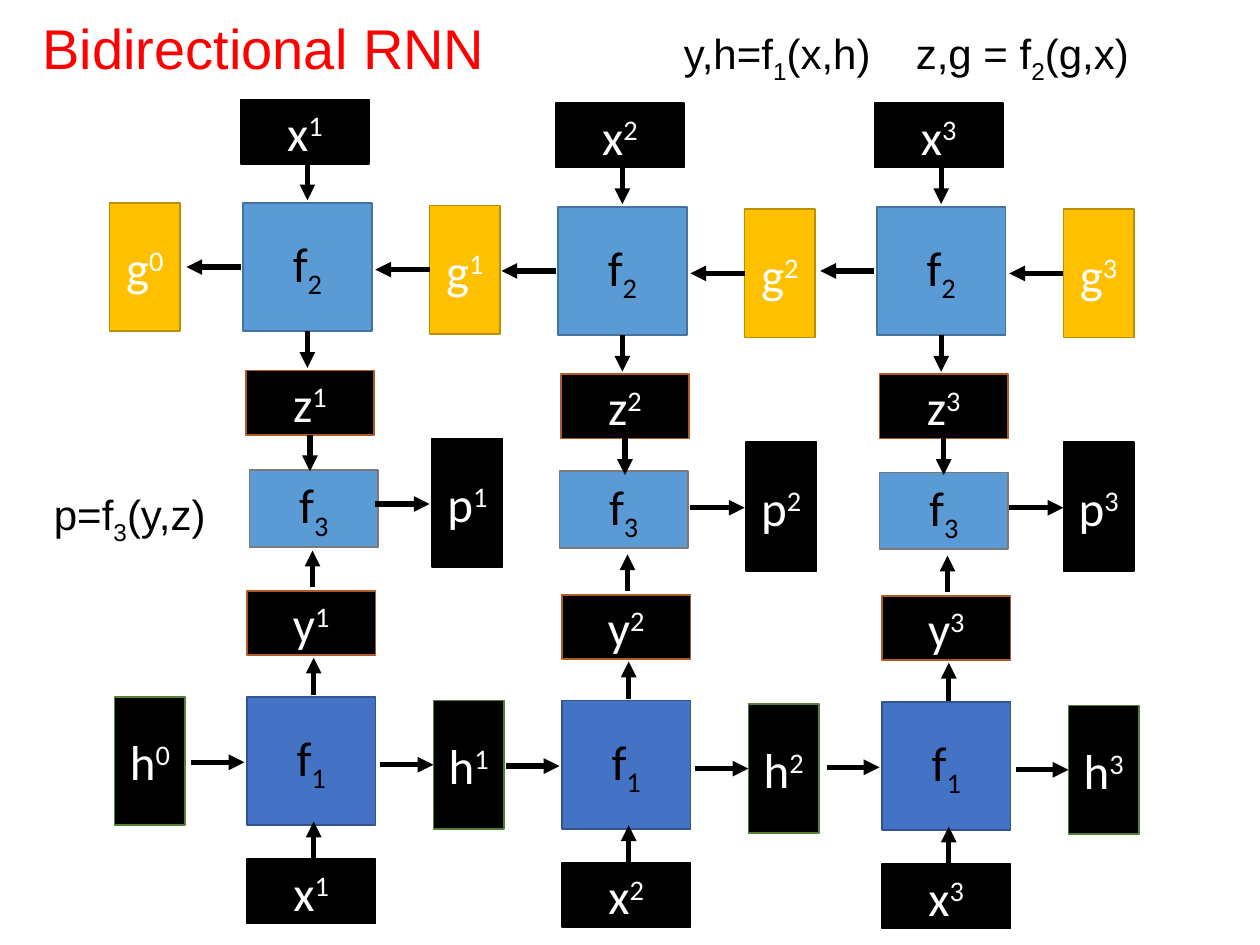
from dataclasses import dataclass
from typing import NamedTuple, Optional

import lxml.etree
import pptx
import pptx.dml.color
import pptx.enum.shapes
import pptx.enum.text
import pptx.oxml.ns
import pptx.util

Inches = pptx.util.Inches
Pt = pptx.util.Pt
qn = pptx.oxml.ns.qn


class Paint(NamedTuple):
    fill: str
    line: str
    text: str


@dataclass(frozen=True)
class Theme:
    black: str = "000000"
    title: str = "FF0000"
    box_font: str = "Calibri"
    text_font: str = "Arial"
    title_size: int = 32
    box_size: int = 28
    formula_size: int = 24
    arrow_width: int = 3
    box_line: int = 1
    superscript: int = 30000
    subscript: int = -25000
    forward: Paint = Paint("4472C4", "325491", "000000")
    backward: Paint = Paint("5B9BD5", "43739E", "000000")
    merge: Paint = Paint("5B9BD5", "7A7A7A", "000000")
    hidden: Paint = Paint("000000", "538035", "FFFFFF")
    reverse: Paint = Paint("FFC000", "BD8E00", "FFFFFF")
    output: Paint = Paint("000000", "AF5C24", "FFFFFF")
    plain: Paint = Paint("000000", "000000", "FFFFFF")


class Box(NamedTuple):
    name: str
    letter: str
    row: str
    x: float
    y: float
    w: float
    h: float
    paint: Paint
    sub: Optional[str] = None


class Arrow(NamedTuple):
    row: str
    x1: float
    y1: float
    x2: float
    y2: float
    begin: Optional[tuple] = None
    end: Optional[tuple] = None


class Label(NamedTuple):
    x: float
    y: float
    w: float
    h: float
    size: int
    color: str
    runs: tuple


THEME = Theme()
WIDE, NARROW, TALL, SHORT, MID = 1.02, 0.56, 1.02, 0.51, 0.61

OFFSETS = {
    "forward": ((0, 0), (2.5, 0.03), (5.04, 0.04)),
    "backward": ((0, 0), (2.5, 0.03), (5.03, 0.03)),
    "merge": ((0, 0), (2.46, 0.01), (5, 0.02)),
    "result": ((0, 0), (2.49, 0.03), (5.01, 0.03)),
}

BOXES = (
    Box("f1", "f", "forward", 1.96, 5.53, WIDE, TALL, THEME.forward, "1"),
    Box("h", "h", "forward", 3.44, 5.56, NARROW, TALL, THEME.hidden),
    Box("y", "y", "forward", 1.96, 4.69, WIDE, SHORT, THEME.output),
    Box("x low", "x", "forward", 1.96, 6.82, WIDE, SHORT, THEME.plain),
    Box("f2", "f", "backward", 1.93, 1.61, WIDE, TALL, THEME.backward, "2"),
    Box("g", "g", "backward", 3.41, 1.63, NARROW, TALL, THEME.reverse),
    Box("x top", "x", "backward", 1.91, 0.79, WIDE, SHORT, THEME.plain),
    Box("z", "z", "backward", 1.95, 2.94, WIDE, SHORT, THEME.output),
    Box("f3", "f", "merge", 1.98, 3.73, WIDE, MID, THEME.merge, "3"),
    Box("p", "p", "result", 3.43, 3.48, NARROW, TALL, THEME.plain),
)
START_BOXES = (
    Box("h", "h", "forward", 0.91, 5.53, NARROW, TALL, THEME.hidden),
    Box("g", "g", "backward", 0.87, 1.61, NARROW, TALL, THEME.reverse),
)
ARROWS = (
    Arrow("forward", 1.52, 6.05, 1.94, 6.05),
    Arrow("forward", 3.02, 6.07, 3.44, 6.07, end=("h", 1)),
    Arrow("forward", 2.49, 5.52, 2.49, 5.22),
    Arrow("forward", 2.49, 6.82, 2.49, 6.52),
    Arrow("forward", 2.48, 4.66, 2.48, 4.37),
    Arrow("backward", 1.91, 2.12, 1.48, 2.12),
    Arrow("backward", 3.41, 2.14, 2.98, 2.14, begin=("g", 1)),
    Arrow("backward", 2.44, 1.3, 2.44, 1.59),
    Arrow("backward", 2.44, 2.63, 2.44, 2.92, begin=("f2", 2)),
    Arrow("backward", 2.46, 3.45, 2.46, 3.74, begin=("z", 2)),
    Arrow("backward", 2.98, 4, 3.41, 4),
)
LABELS = (
    Label(0.24, 0.06, 3.74, 0.64, THEME.title_size, THEME.title, ("Bidirectional RNN",)),
    Label(0.33, 3.83, 1.43, 0.51, THEME.formula_size, THEME.black, ("p=f", "3", "(y,z)")),
    Label(5.33, 0.17, 1.71, 0.51, THEME.formula_size, THEME.black, ("y,h=f", "1", "(x,h)")),
    Label(7.17, 0.17, 1.93, 0.51, THEME.formula_size, THEME.black, ("z,g = f", "2", "(g,x)")),
)


def rgb(color: str) -> pptx.dml.color.RGBColor:
    return pptx.dml.color.RGBColor.from_string(color)


def add_run(p, text: str, font: str, size: int, color: str, baseline: int = 0) -> None:
    r = p.add_run()
    r.text = text
    for key, value in {"name": font, "size": Pt(size)}.items():
        setattr(r.font, key, value)
    r.font.color.rgb = rgb(color)
    if baseline:
        r.font._element.set("baseline", str(baseline))


def draw_box(slide, box: Box, step: int, offset: tuple):
    dx, dy = offset
    sp = slide.shapes.add_shape(
        pptx.enum.shapes.MSO_SHAPE.RECTANGLE,
        Inches(box.x + dx), Inches(box.y + dy), Inches(box.w), Inches(box.h))
    sp.shadow.inherit = False
    sp.fill.solid()
    sp.fill.fore_color.rgb = rgb(box.paint.fill)
    sp.line.color.rgb = rgb(box.paint.line)
    sp.line.width = Pt(THEME.box_line)
    tf = sp.text_frame
    tf.vertical_anchor = pptx.enum.text.MSO_ANCHOR.MIDDLE
    p = tf.paragraphs[0]
    p.alignment = pptx.enum.text.PP_ALIGN.CENTER
    style = (THEME.box_font, THEME.box_size, box.paint.text)
    add_run(p, box.letter, *style)
    baseline = THEME.subscript if box.sub else THEME.superscript
    add_run(p, box.sub or str(step), *style, baseline)
    return sp


def draw_arrow(slide, arrow: Arrow, offset: tuple, placed: dict) -> None:
    dx, dy = offset
    cxn = slide.shapes.add_connector(
        pptx.enum.shapes.MSO_CONNECTOR.STRAIGHT,
        Inches(arrow.x1 + dx), Inches(arrow.y1 + dy),
        Inches(arrow.x2 + dx), Inches(arrow.y2 + dy))
    cxn.line.color.rgb = rgb(THEME.black)
    cxn.line.width = Pt(THEME.arrow_width)
    lxml.etree.SubElement(cxn.line._get_or_add_ln(), qn("a:tailEnd"), type="triangle")
    lxml.etree.SubElement(cxn._element.spPr, qn("a:effectLst"))
    if arrow.begin:
        cxn.begin_connect(placed[arrow.begin[0]], arrow.begin[1])
    if arrow.end:
        cxn.end_connect(placed[arrow.end[0]], arrow.end[1])


def draw_label(slide, label: Label) -> None:
    sp = slide.shapes.add_textbox(
        Inches(label.x), Inches(label.y), Inches(label.w), Inches(label.h))
    tf = sp.text_frame
    tf.word_wrap = False
    tf.auto_size = pptx.enum.text.MSO_AUTO_SIZE.SHAPE_TO_FIT_TEXT
    for i, text in enumerate(label.runs):
        baseline = THEME.subscript if i == 1 else 0
        add_run(tf.paragraphs[0], text, THEME.text_font, label.size, label.color, baseline)


def main() -> None:
    prs = pptx.Presentation()
    prs.slide_width, prs.slide_height = Inches(10), Inches(7.5)
    slide = prs.slides.add_slide(prs.slide_layouts[6])
    for box in START_BOXES:
        draw_box(slide, box, 0, (0, 0))
    for col in range(3):
        placed = {b.name: draw_box(slide, b, col + 1, OFFSETS[b.row][col]) for b in BOXES}
        for arrow in ARROWS:
            draw_arrow(slide, arrow, OFFSETS[arrow.row][col], placed)
    for label in LABELS:
        draw_label(slide, label)
    prs.save("out.pptx")


if __name__ == "__main__":
    main()
